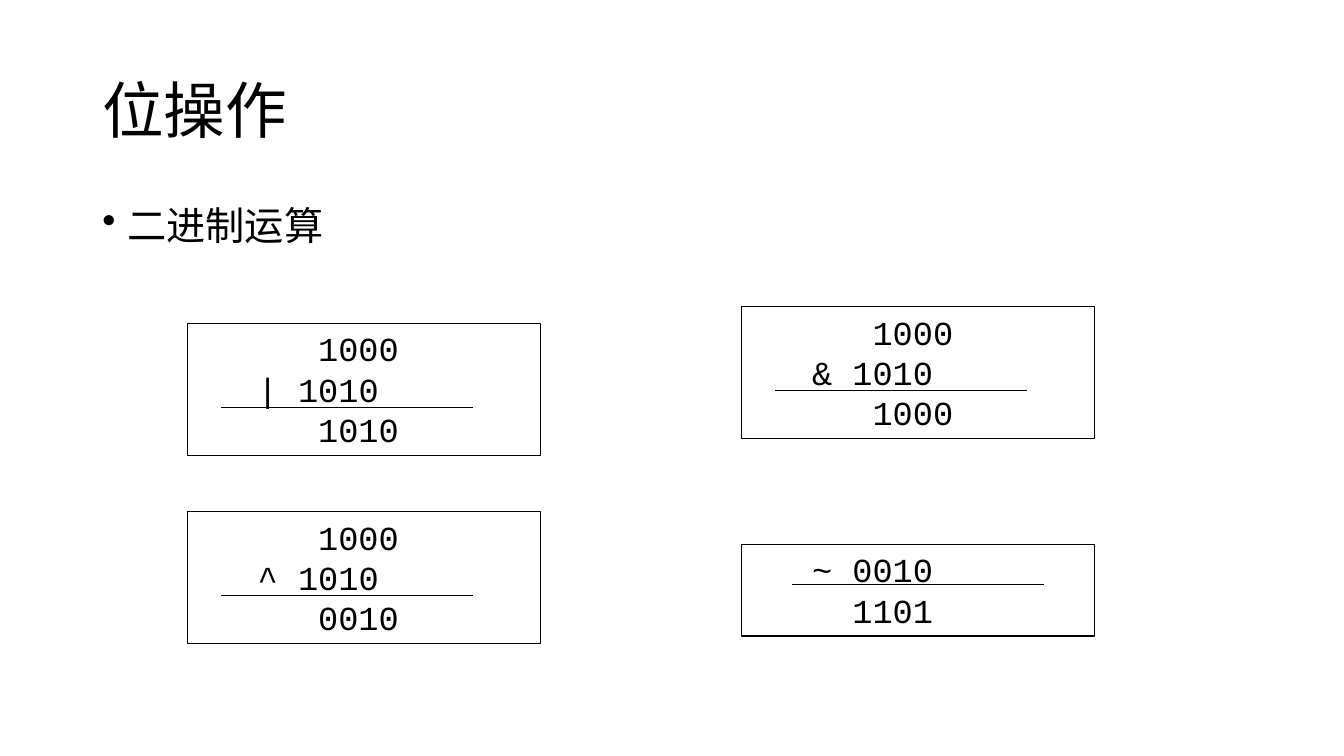
from dataclasses import dataclass

from lxml import etree
from pptx import Presentation
from pptx import util as u
from pptx.dml.color import RGBColor
from pptx.enum import shapes, text
from pptx.oxml.ns import qn


@dataclass(frozen=True)
class Theme:
    ink: RGBColor = RGBColor(0, 0, 0)
    paper: RGBColor = RGBColor(255, 255, 255)
    heading_font: str = "Noto Sans CJK SC"
    code_font: str = "Courier New"
    title_size: int = 44
    body_size: int = 28
    code_size: int = 24
    line_width: float = 0.75


class SlideBuilder:
    COLUMNS, ROWS = 160, 90
    CHARACTER = 0.2  # inches per code character

    def __init__(self, deck, theme):
        self.theme = theme
        self.column = deck.slide_width / self.COLUMNS
        self.row = deck.slide_height / self.ROWS
        self.slide = deck.slides.add_slide(deck.slide_layouts[6])

    def place(self, left, top, width, height):
        return (round(left * self.column), round(top * self.row),
                round(width * self.column), round(height * self.row))

    def style(self, para, font, size):
        para.font.name = font
        para.font.size = u.Pt(size)
        para.font.color.rgb = self.theme.ink
        defaults = para.font._element
        etree.SubElement(defaults, qn("a:ea")).set("typeface", font)

    def heading(self, words, area, size, anchor, bullet=False):
        box = self.slide.shapes.add_textbox(*self.place(*area))
        frame = box.text_frame
        frame.word_wrap = True
        frame.vertical_anchor = anchor
        para = frame.paragraphs[0]
        para.text = words
        para.line_spacing = 0.9
        self.style(para, self.theme.heading_font, size)
        if bullet:
            para.space_before = u.Pt(10)
            props = para._p.get_or_add_pPr()
            props.set("marL", str(u.Inches(0.25)))
            props.set("indent", str(-u.Inches(0.25)))
            mark = etree.Element(qn("a:buChar"), char="•")
            props.find(qn("a:defRPr")).addprevious(mark)

    def code_line(self, para, operator, digits, digit_column):
        """Write digits at a character column, after an operator if any."""
        para.text = f"{operator}\t{digits}" if operator else digits
        para.alignment = text.PP_ALIGN.LEFT
        self.style(para, self.theme.code_font, self.theme.code_size)
        props = para._p.get_or_add_pPr()
        start = 3 if operator else digit_column
        props.set("marL", "0")
        props.set("indent", str(u.Inches(start * self.CHARACTER)))
        if operator:
            tabs = etree.Element(qn("a:tabLst"))
            position = u.Inches(digit_column * self.CHARACTER)
            etree.SubElement(tabs, qn("a:tab"), pos=str(position), algn="l")
            props.find(qn("a:defRPr")).addprevious(tabs)

    def calculation(self, left, top, lines, digit_column=6, rule_left=4):
        group = self.slide.shapes.add_group_shape()
        # Framed sum
        height = 15.72 if len(lines) == 3 else 10.92
        box = group.shapes.add_shape(shapes.MSO_SHAPE.RECTANGLE,
                                     *self.place(left, top, 42, height))
        box.shadow.inherit = False
        box.fill.solid()
        box.fill.fore_color.rgb = self.theme.paper
        box.line.color.rgb = self.theme.ink
        box.line.width = u.Pt(self.theme.line_width)
        frame = box.text_frame
        frame.word_wrap = True
        frame.vertical_anchor = text.MSO_ANCHOR.TOP
        for index, (operator, digits) in enumerate(lines):
            para = frame.add_paragraph() if index else frame.paragraphs[0]
            self.code_line(para, operator, digits, digit_column)
        # Rule above the result
        rule_top = top + 10 - 5.2 * (3 - len(lines))
        x, y, length, _ = self.place(left + rule_left, rule_top, 30, 0)
        rule = group.shapes.add_connector(shapes.MSO_CONNECTOR.STRAIGHT,
                                          x, y, x + length, y)
        rule.line.color.rgb = self.theme.ink
        rule.line.width = u.Pt(self.theme.line_width)
        etree.SubElement(rule._element.spPr, qn("a:effectLst"))


def main():
    deck = Presentation()
    deck.slide_width, deck.slide_height = u.Inches(13.333), u.Inches(7.5)
    theme = Theme()
    page = SlideBuilder(deck, theme)

    # Title and topic
    page.heading("位操作", (11, 4.8, 138, 17.4), theme.title_size,
                 text.MSO_ANCHOR.MIDDLE)
    page.heading("二进制运算", (11, 24, 138, 57.1), theme.body_size,
                 text.MSO_ANCHOR.TOP, bullet=True)

    # Binary operators
    first, second = 22.3, 88.3
    for left, top, operator, result in (
            (first, 60.9, "^", "0010"),
            (second, 36.5, "&", "1000"),
            (first, 38.5, "|", "1010")):
        page.calculation(left, top, [("", "1000"), (operator, "1010"),
                                     ("", result)])

    # Unary operator
    page.calculation(second, 64.8, [("~", "0010"), ("", "1101")],
                     digit_column=5, rule_left=6)

    deck.save("out.pptx")


if __name__ == "__main__":
    main()
